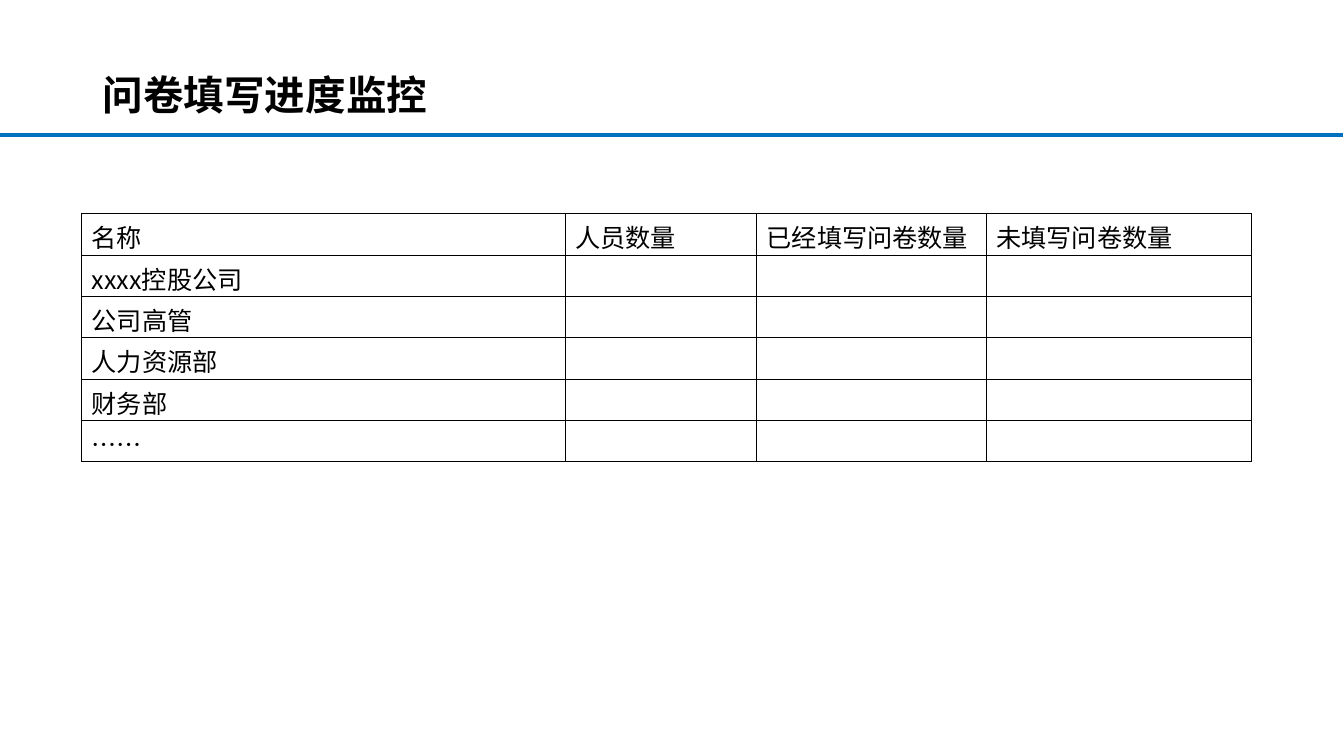
from dataclasses import dataclass

from pptx import Presentation, util as u
from pptx.dml.color import RGBColor
from pptx.enum import shapes, text as t
from pptx.oxml import ns, xmlchemy

EMU_PER_PX = 9144  # 100 px to the inch
PAGE_SIZE = (1334, 750)


@dataclass(frozen=True)
class Theme:
    font: str = "Noto Sans CJK SC"
    ink: str = "000000"
    accent: str = "0070C0"
    title_size: int = 29
    body_size: int = 18
    rule_width: float = 3
    border_width: float = 0.45


def px(length):
    return u.Emu(length * EMU_PER_PX)


def add_child(parent, tag, **attributes):
    child = xmlchemy.OxmlElement(tag)
    for name, value in attributes.items():
        child.set(name, str(value))
    parent.append(child)
    return child


def write(frame, words, *, font, size, color, bold=False, spacing=None):
    para = frame.paragraphs[0]
    para.alignment = t.PP_ALIGN.LEFT
    if spacing:
        para.line_spacing = spacing
    span = para.add_run()
    span.text = words
    span.font.size = u.Pt(size)
    span.font.bold = bold
    span.font.color.rgb = RGBColor.from_string(color)
    span.font.name = font
    latin = span._r.get_or_add_rPr().find(ns.qn("a:latin"))
    east_asian = xmlchemy.OxmlElement("a:ea")
    east_asian.set("typeface", font)
    latin.addnext(east_asian)


class Page:
    def __init__(self, deck, theme):
        self.theme = theme
        self.slide = deck.slides.add_slide(deck.slide_layouts[6])

    def rule(self, left, right, top):
        line = self.slide.shapes.add_connector(
            shapes.MSO_CONNECTOR.STRAIGHT, px(left), px(top), px(right), px(top))
        line.line.color.rgb = RGBColor.from_string(self.theme.accent)
        line.line.width = u.Pt(self.theme.rule_width)
        add_child(line._element.spPr, "a:effectLst")

    def title(self, words, left, top, width, height):
        box = self.slide.shapes.add_textbox(px(left), px(top), px(width), px(height))
        frame = box.text_frame
        frame.word_wrap = True
        frame.vertical_anchor = t.MSO_ANCHOR.MIDDLE
        write(frame, words, font=self.theme.font, size=self.theme.title_size,
              color=self.theme.ink, bold=True, spacing=1.5)

    def border(self, cell):
        properties = cell._tc.get_or_add_tcPr()
        for side in ("lnL", "lnR", "lnT", "lnB"):
            line = add_child(properties, f"a:{side}", w=u.Pt(self.theme.border_width))
            fill = add_child(line, "a:solidFill")
            add_child(fill, "a:srgbClr", val=self.theme.ink)

    def table(self, rows, left, top, column_widths, row_height):
        frame = self.slide.shapes.add_table(
            len(rows), len(column_widths), px(left), px(top),
            px(sum(column_widths)), px(row_height * len(rows)))
        table = frame.table
        table.first_row = table.horz_banding = False
        for column, width in zip(table.columns, column_widths):
            column.width = px(width)
        for row, words_in_row in zip(table.rows, rows):
            row.height = px(row_height)
            for cell in row.cells:
                self.border(cell)
                cell.fill.background()
            for cell, words in zip(row.cells, words_in_row):
                write(cell.text_frame, words, font=self.theme.font,
                      size=self.theme.body_size, color=self.theme.ink)


def main():
    deck = Presentation()
    deck.slide_width, deck.slide_height = map(px, PAGE_SIZE)
    page = Page(deck, Theme())
    page.rule(0, 1333, 134)
    page.title("问卷填写进度监控", 92, 40, 1150, 83)
    header = ["名称", "人员数量", "已经填写问卷数量", "未填写问卷数量"]
    departments = ["xxxx控股公司", "公司高管", "人力资源部", "财务部", "……"]
    page.table([header] + [[name] for name in departments],
               81, 212, [480, 190, 228, 263], 41)
    deck.save("out.pptx")


if __name__ == "__main__":
    main()
